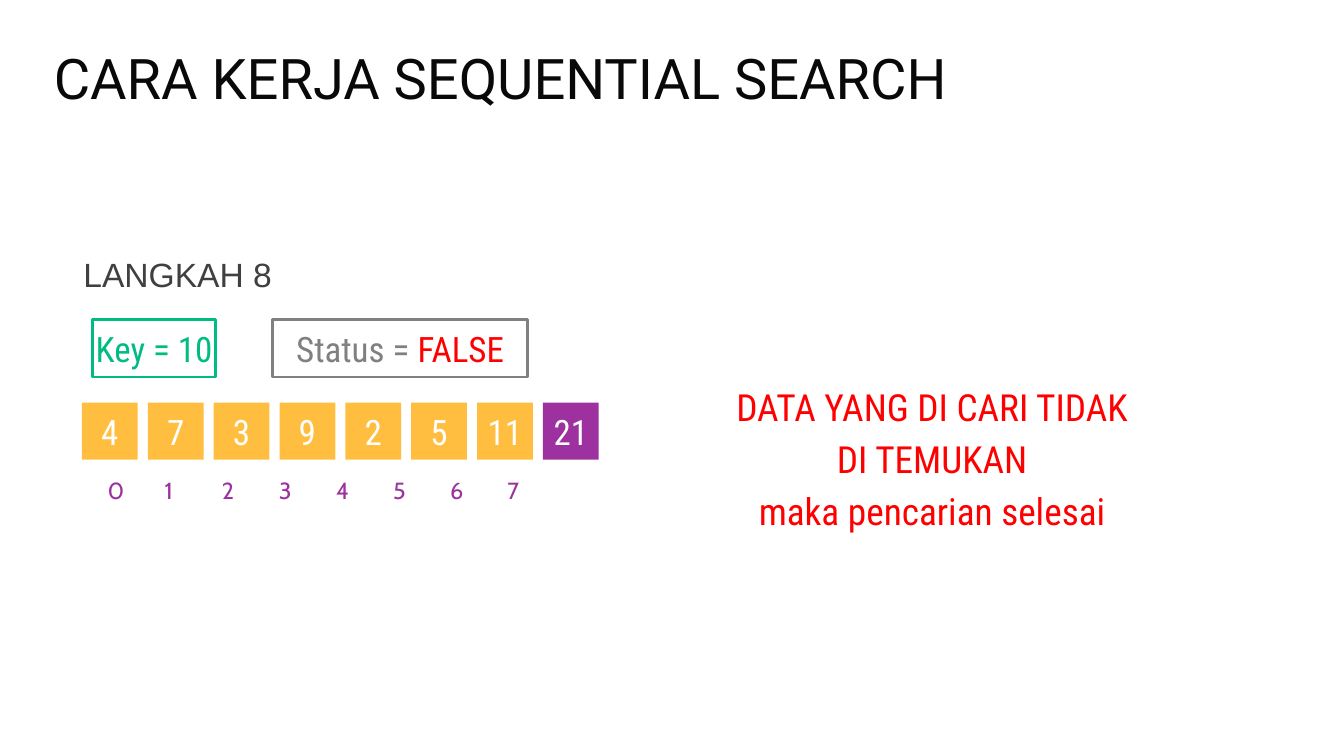
from lxml.etree import SubElement
from pptx import Presentation
from pptx.dml.color import RGBColor
from pptx.enum.shapes import MSO_SHAPE
from pptx.enum.text import MSO_ANCHOR, MSO_AUTO_SIZE, PP_ALIGN
from pptx.oxml.ns import qn
from pptx.util import Inches, Pt

COLUMNS, ROWS = 20, 11.25
WIDTH, HEIGHT = Inches(COLUMNS), Inches(ROWS)

BLACK = RGBColor(0x09, 0x09, 0x09)
DARK = RGBColor(0x40, 0x40, 0x40)
GRAY = RGBColor(0x80, 0x80, 0x80)
WHITE = RGBColor(0xFF, 0xFF, 0xFF)
RED = RGBColor(0xFF, 0x00, 0x00)
GREEN = RGBColor(0x00, 0xBC, 0x82)
YELLOW = RGBColor(0xFF, 0xBE, 0x40)
PURPLE = RGBColor(0x9C, 0x31, 0x9F)

CONDENSED = "Roboto Condensed"
VALUES = [4, 7, 3, 9, 2, 5, 11, 21]
CELL_LEFT, CELL_PITCH = 1.22, 0.98
INDEX_PITCH = 0.85


def place(column, row, columns, rows):
    """Turn grid columns and rows into left, top, width and height."""
    dx, dy = WIDTH / COLUMNS, HEIGHT / ROWS
    return int(column * dx), int(row * dy), int(columns * dx), int(rows * dy)


def write(tf, *lines, font=CONDENSED, size=37.5, spacing=45, color=WHITE,
          align=PP_ALIGN.CENTER, anchor=MSO_ANCHOR.MIDDLE, side=0):
    """Write lines, each a string or a list of (text, color) runs."""
    tf.word_wrap = True
    tf.auto_size = MSO_AUTO_SIZE.NONE
    tf.vertical_anchor = anchor
    tf.margin_top = tf.margin_bottom = 0
    tf.margin_left = tf.margin_right = Inches(side)
    for i, line in enumerate(lines):
        p = tf.add_paragraph() if i else tf.paragraphs[0]
        p.alignment = align
        p.line_spacing = Pt(spacing)
        p.space_before = Pt(0)
        for text, run_color in [(line, color)] if isinstance(line, str) else line:
            r = p.add_run()
            r.text = text
            r.font.name = font
            r.font.size = Pt(size)
            r.font.color.rgb = run_color


def add_title(s, text):
    """Move the title placeholder and fill it."""
    sp = s.shapes.title
    sp.left, sp.top, sp.width, sp.height = place(0.8, 0.64, 16.74, 1.02)
    write(sp.text_frame, text, font="Roboto", size=60, spacing=72, color=BLACK,
          align=PP_ALIGN.LEFT, anchor=MSO_ANCHOR.TOP)


def add_text(s, area, *lines, **style):
    """Add a top-anchored text box and return its frame."""
    tf = s.shapes.add_textbox(*place(*area)).text_frame
    write(tf, *lines, anchor=MSO_ANCHOR.TOP, **style)
    return tf


def add_box(s, area, line, fill=None, outline=None):
    """Add a rectangle that is either filled or outlined."""
    sp = s.shapes.add_shape(MSO_SHAPE.RECTANGLE, *place(*area))
    sp.shadow.inherit = False
    if fill is None:
        sp.fill.background()
        sp.line.color.rgb = outline
        sp.line.width = Pt(3)
    else:
        sp.fill.solid()
        sp.fill.fore_color.rgb = fill
        sp.line.fill.background()
    write(sp.text_frame, line)


def add_cells(s):
    """Draw the searched values, the last one being current."""
    for i, value in enumerate(VALUES):
        fill = PURPLE if i == len(VALUES) - 1 else YELLOW
        add_box(s, (CELL_LEFT + i * CELL_PITCH, 5.99, 0.83, 0.85), str(value), fill=fill)


def add_indexes(s):
    """Write the index of each value on evenly spaced tab stops."""
    tf = add_text(s, (1.6, 7.01, 7.09, 0.47), "\t".join(map(str, range(len(VALUES)))),
                  font="Cabin", size=25, spacing=35, color=PURPLE, align=PP_ALIGN.LEFT)
    tabs = SubElement(tf.paragraphs[0]._p.get_or_add_pPr(), qn("a:tabLst"))
    for i in range(1, len(VALUES)):
        SubElement(tabs, qn("a:tab"), pos=str(Inches(i * INDEX_PITCH)), algn="l")


def main():
    """Build the slide and save it."""
    prs = Presentation()
    prs.slide_width, prs.slide_height = WIDTH, HEIGHT
    s = prs.slides.add_slide(prs.slide_layouts[5])
    add_title(s, "CARA KERJA SEQUENTIAL SEARCH")
    add_text(s, (1.24, 3.65, 3.38, 0.71), "LANGKAH 8", font="Arial", size=36,
             spacing=51.9, color=DARK, align=PP_ALIGN.LEFT)
    add_cells(s)
    add_box(s, (4.06, 4.76, 3.79, 0.85), [("Status = ", GRAY), ("FALSE", RED)], outline=GRAY)
    add_indexes(s)
    add_box(s, (1.38, 4.76, 1.83, 0.85), [("Key = 10", GREEN)], outline=GREEN)
    add_text(s, (10.62, 5.6, 6.5, 1.54), "DATA YANG DI CARI TIDAK DI TEMUKAN",
             "maka pencarian selesai", size=40, spacing=56, color=RED, side=0.2)
    prs.save("out.pptx")


if __name__ == "__main__":
    main()
